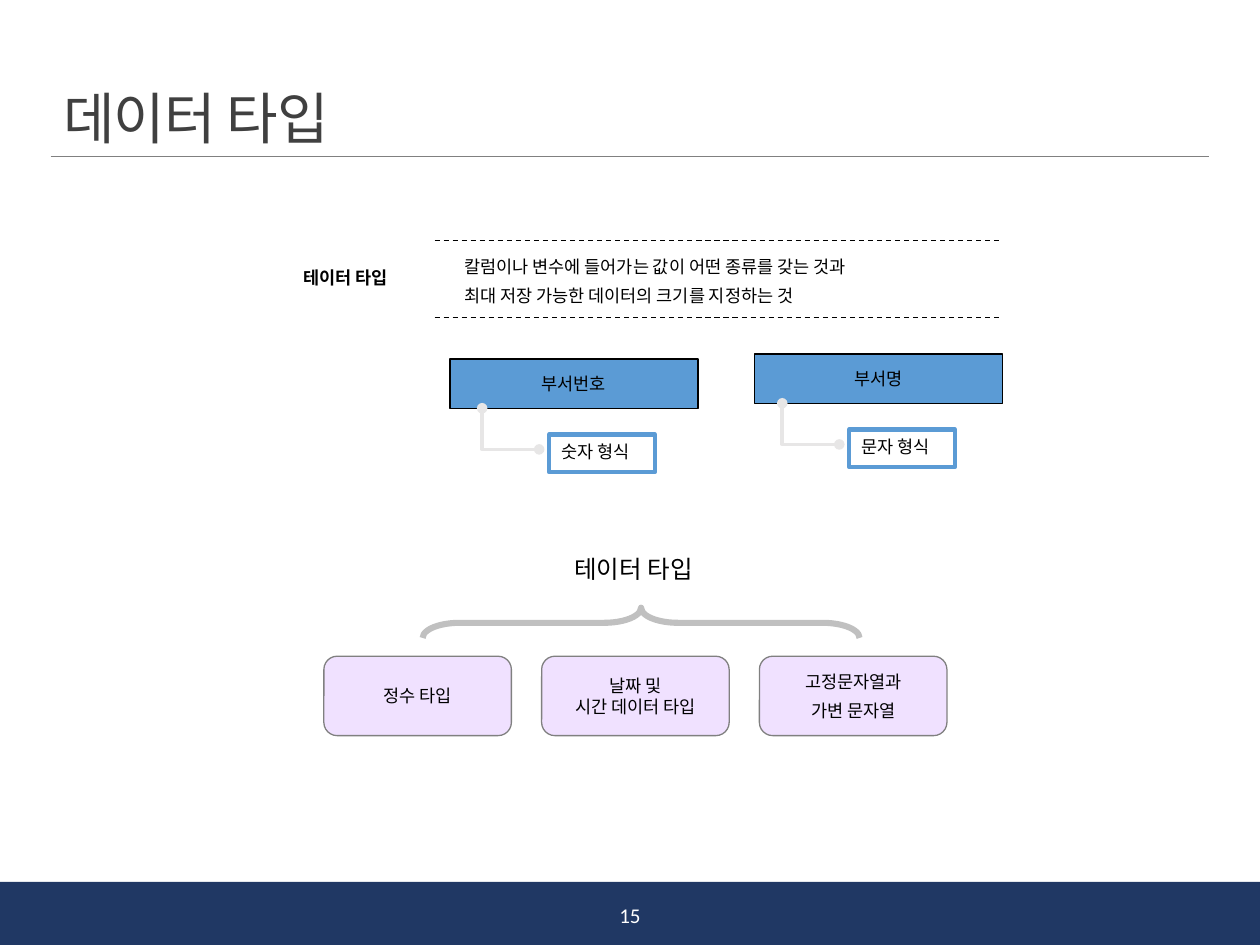
from lxml import etree
from pptx import Presentation
from pptx.dml.color import RGBColor
from pptx.enum import dml, shapes, text
from pptx.oxml.ns import qn
from pptx.util import Cm, Pt

COLORS = {
    "navy": "203864", "white": "FFFFFF", "black": "000000", "title": "404040",
    "gray": "808080", "blue": "5B9BD5", "link": "E7E6E6", "brace": "C0C0C0",
    "lilac": "CC99FF",
}
TITLE = "데이터 타입"
PAGE_NUMBER = "15"
TERM = "테이터 타입"
DEFINITION = ["칼럼이나 변수에 들어가는 값이 어떤 종류를 갖는 것과",
              "최대 저장 가능한 데이터의 크기를 지정하는 것"]
# column name, its position, format, horizontal offset of the format box
COLUMNS = [("부서번호", 9.07, 7.24, "숫자 형식", 2.0),
           ("부서명", 15.21, 7.14, "문자 형식", 1.91)]
TYPES = [["정수 타입"], ["날짜 및\v시간 데이터 타입"], ["고정문자열과", "가변 문자열"]]

COLUMN_W, COLUMN_H = 5.0, 0.99
FORMAT_W, FORMAT_H, FORMAT_DROP = 2.13, 0.76, 1.52
TYPE_X, TYPE_Y, TYPE_W, TYPE_H, TYPE_PITCH = 6.53, 13.23, 3.78, 1.6, 4.39

prs = Presentation()
prs.slide_width, prs.slide_height = Cm(25.4), Cm(19.05)
slide = prs.slides.add_slide(prs.slide_layouts[5])


def rgb(name):
    return RGBColor.from_string(COLORS[name])


def write(shape, lines, size=10, font="Karla", color="black", bold=False,
          centered=True, grow=False):
    frame = shape.text_frame
    frame.text = "\n".join(lines)
    frame.word_wrap = False
    frame.vertical_anchor = (text.MSO_ANCHOR.MIDDLE if centered
                             else text.MSO_ANCHOR.TOP)
    if grow:
        frame.auto_size = text.MSO_AUTO_SIZE.SHAPE_TO_FIT_TEXT
    for index, paragraph in enumerate(frame.paragraphs):
        paragraph.alignment = text.PP_ALIGN.CENTER if centered else text.PP_ALIGN.LEFT
        if index:
            paragraph.space_before = Pt(5)
        paragraph.font.name = font
        paragraph.font.size = Pt(size)
        paragraph.font.bold = bold
        paragraph.font.color.rgb = rgb(color)


def add_label(x, y, w, h, lines, **style):
    write(slide.shapes.add_textbox(Cm(x), Cm(y), Cm(w), Cm(h)), lines, **style)


def add_box(kind, x, y, w, h, fill=None, line=None, width=0.75):
    box = slide.shapes.add_shape(kind, Cm(x), Cm(y), Cm(w), Cm(h))
    box.shadow.inherit = False
    if fill:
        box.fill.solid()
        box.fill.fore_color.rgb = rgb(fill)
    else:
        box.fill.background()
    if line:
        box.line.color.rgb = rgb(line)
        box.line.width = Pt(width)
    else:
        box.line.fill.background()
    return box


def add_line(x1, y1, x2, y2, color, width, kind=shapes.MSO_CONNECTOR.STRAIGHT):
    line = slide.shapes.add_connector(kind, Cm(x1), Cm(y1), Cm(x2), Cm(y2))
    line.line.color.rgb = rgb(color)
    line.line.width = Pt(width)
    etree.SubElement(line._element.spPr, qn("a:effectLst"))
    return line


def add_corner(x1, y1, x2, y2):
    """Link going down and then right, with a dot at each end."""
    across, down = x2 - x1, y2 - y1
    mid_x, mid_y = (x1 + x2) / 2, (y1 + y2) / 2
    # The preset corner goes right and then down: mirror it and turn it by 270°.
    link = add_line(mid_x + down / 2, mid_y - across / 2,
                    mid_x - down / 2, mid_y + across / 2,
                    "link", 2, shapes.MSO_CONNECTOR.ELBOW)
    properties = link._element.spPr
    properties.find(qn("a:xfrm")).set("rot", str(270 * 60000))
    properties.find(qn("a:prstGeom")).set("prst", "bentConnector2")
    for end in ("a:headEnd", "a:tailEnd"):
        etree.SubElement(properties.find(qn("a:ln")), qn(end), type="oval")


# Frame of the page
add_box(shapes.MSO_SHAPE.RECTANGLE, 0, 17.78, 25.4, 1.27, fill="navy")
add_line(1.02, 3.15, 24.38, 3.15, "gray", 0.5)
title = slide.shapes.title
title.left, title.top, title.width, title.height = Cm(1.02), Cm(1.07), Cm(23.37), Cm(2.11)
write(title, [TITLE], 32, "Calibri", "title", centered=False)
title.text_frame.word_wrap = True
title.text_frame.vertical_anchor = text.MSO_ANCHOR.BOTTOM
heading = title.text_frame.paragraphs[0]
heading.line_spacing = 0.85
heading.runs[0].font._element.set("spc", "-50")
add_label(11.33, 17.93, 2.74, 1.02, [PAGE_NUMBER], size=12, font="Calibri", color="white")

# Definition
add_label(5.87, 5.26, 2.36, 0.69, [TERM], bold=True, centered=False, grow=True)
for y in (4.85, 6.4):
    rule = add_line(8.76, y, 20.17, y, "black", 0.75)
    rule.line.dash_style = dml.MSO_LINE.DASH
add_label(9.12, 5.03, 9.14, 1.32, DEFINITION, centered=False, grow=True)

# Example columns and their formats
for name, x, y, data_format, offset in COLUMNS:
    column = add_box(shapes.MSO_SHAPE.RECTANGLE, x, y, COLUMN_W, COLUMN_H, "blue", "black")
    write(column, [name])
    format_x, format_y = x + offset, y + FORMAT_DROP
    add_corner(format_x - 1.35, y + COLUMN_H, format_x - 0.2, format_y + 0.3)
    format_box = add_box(shapes.MSO_SHAPE.RECTANGLE, format_x, format_y,
                         FORMAT_W, FORMAT_H, line="blue", width=2.5)
    write(format_box, [data_format], centered=False, grow=True)

# Kinds of data type
add_label(11.33, 11.05, 3.12, 0.84, [TERM], size=14, font="Noto Sans CJK KR",
          centered=False, grow=True)
brace = add_box(shapes.MSO_SHAPE.RIGHT_BRACE, 12.62, 8.15, 0.61, 8.81,
                line="brace", width=3.5)
brace.rotation = 270
brace.adjustments[0] = 1.22
for index, lines in enumerate(TYPES):
    card = add_box(shapes.MSO_SHAPE.ROUNDED_RECTANGLE, TYPE_X + index * TYPE_PITCH,
                   TYPE_Y, TYPE_W, TYPE_H, "lilac", "gray")
    tint = card._element.spPr.find(qn("a:solidFill")).find(qn("a:srgbClr"))
    etree.SubElement(tint, qn("a:alpha"), val="29000")
    write(card, lines)

prs.save("out.pptx")
